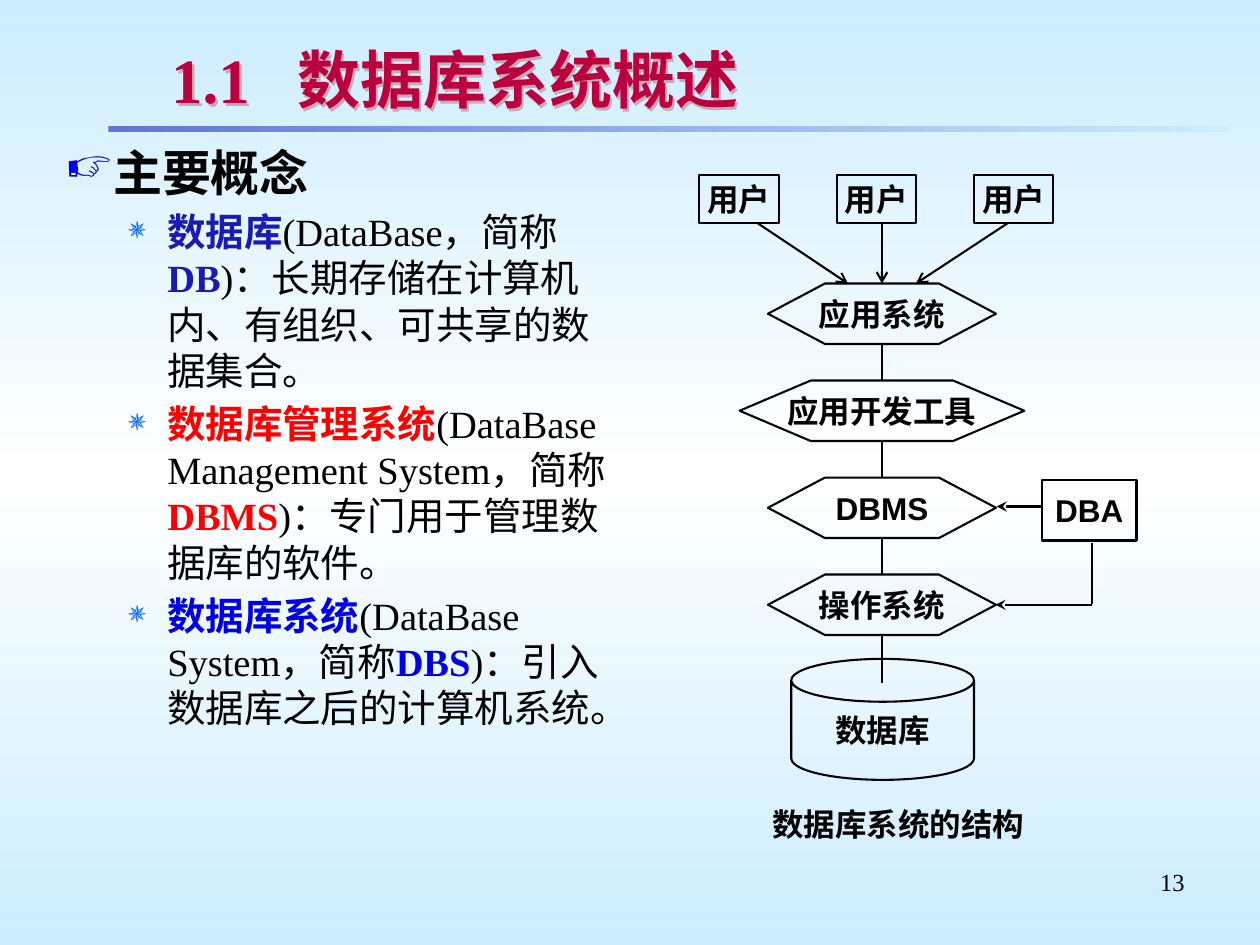
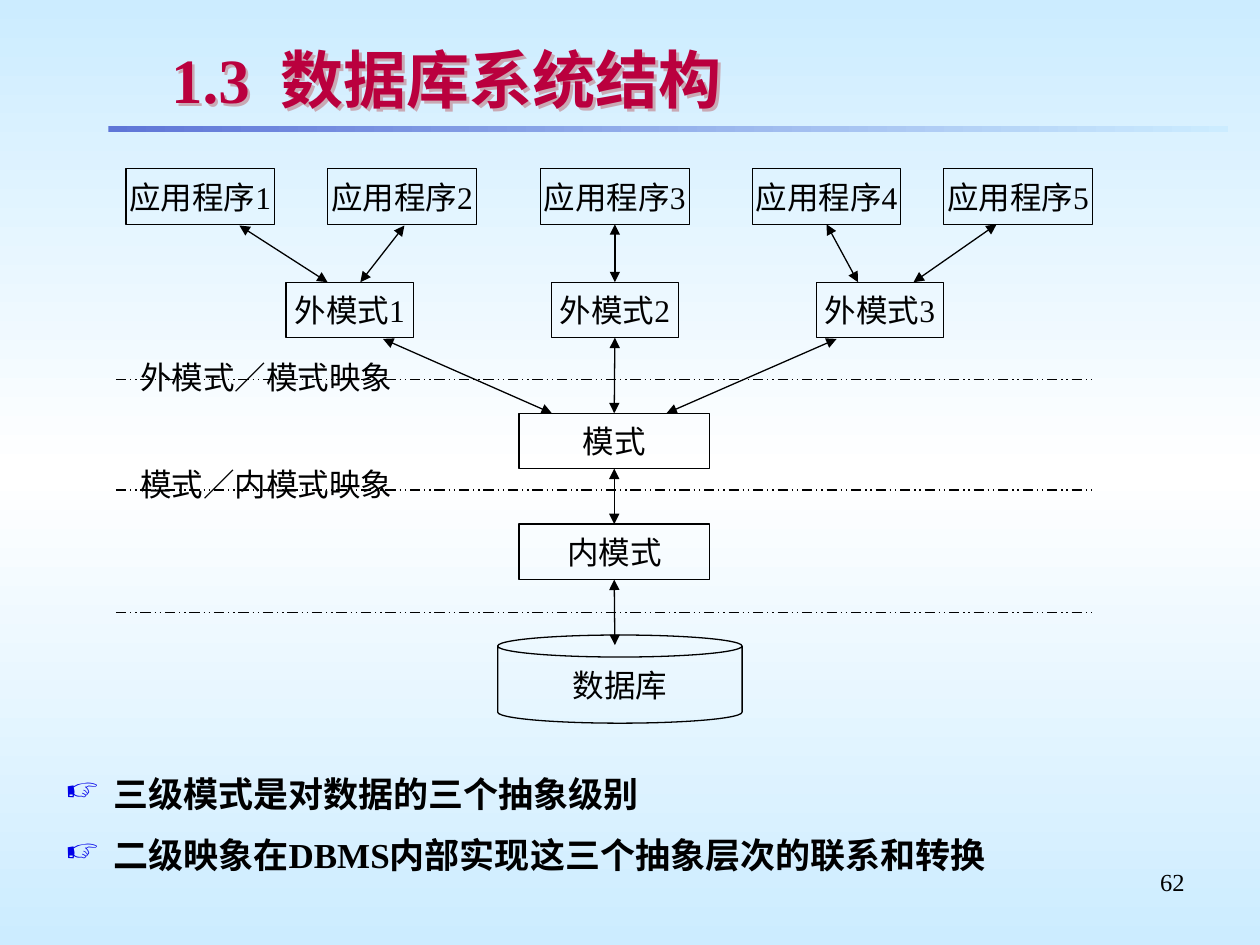
from lxml.etree import SubElement
from pptx import Presentation
from pptx.dml.color import RGBColor
from pptx.enum.dml import MSO_LINE
from pptx.enum.shapes import MSO_CONNECTOR, MSO_SHAPE
from pptx.enum.text import MSO_ANCHOR, PP_ALIGN
from pptx.oxml.ns import qn
from pptx.util import Inches, Pt

HUE = {"black": "000000", "title": "BA003E", "shade": "C9A9B4", "sky": "CCECFF",
       "white": "FFFFFF", "bar": "5F76D7", "hand": "0000E8", "star": "0066FF",
       "navy": "1B1BB3", "red": "FF0000", "blue": "0000E8"}
TIMES, ARIAL = "Times New Roman", "Arial"
RECT, HEX, CAN = MSO_SHAPE.RECTANGLE, MSO_SHAPE.HEXAGON, MSO_SHAPE.CAN
TOP, BOTTOM = 0, 2

# Slide 1: concepts and system structure
TERMS = [
    ("navy", "数据库", "(DataBase，简称", "DB", ")：长期存储在计算机内、有组织、可共享的数据集合。"),
    ("red", "数据库管理系统", "(DataBase Management System，简称", "DBMS", ")：专门用于管理数据库的软件。"),
    ("blue", "数据库系统", "(DataBase System，简称", "DBS", ")：引入数据库之后的计算机系统。"),
]
LAYERS = [("应用系统", 1.81), ("应用开发工具", 2.26), ("DBMS", 1.81), ("操作系统", 1.81)]
CALLS = [((6.01, 1.77), (6.73, 2.25)), ((7, 1.77), (7, 2.25)), ((8, 1.77), (7.27, 2.25))]
BOLD = {"name": ARIAL, "bold": True, "weight": 1.19}

# Slide 2: three schema levels
APPS = [1, 2.6, 4.29, 5.97, 7.49]
LEVELS = [("模式", 3.28), ("内模式", 4.16)]
MAPS = [("外模式／模式映象", 2.75), ("模式／内模式映象", 3.6)]
CUTS = [3.01, 3.89, 4.86]
SLANTS = [
    ((1.9, 1.79), (2.6, 2.24)), ((3.21, 1.79), (2.86, 2.24)),
    ((6.56, 1.78), (6.81, 2.24)), ((7.91, 1.78), (7.25, 2.24)),
    ((3.04, 2.69), (4.38, 3.28)), ((5.29, 3.28), (6.64, 2.69)),
]
POINTS = ["三级模式是对数据的三个抽象级别", "二级映象在DBMS内部实现这三个抽象层次的联系和转换"]
PLAIN = {"name": TIMES, "bold": False, "weight": 0.75}


def rgb(hue):
    return RGBColor.from_string(HUE[hue])


def style(font, size, name, bold=False, hue="black"):
    font.size, font.name, font.bold = Pt(size), name, bold
    font.color.rgb = rgb(hue)


def blend(fill, hues, angle):
    """Fill with a gradient of two hues."""
    fill.gradient()
    fill.gradient_angle = angle
    for stop, hue in zip(fill.gradient_stops, hues):
        stop.color.rgb = rgb(hue)


def field(slide, x, y, w, h, wrap=True):
    shape = slide.shapes.add_textbox(Inches(x), Inches(y), Inches(w), Inches(h))
    shape.text_frame.word_wrap = wrap
    return shape


def write(frame, text, size, name, bold=False, hue="black", align=PP_ALIGN.LEFT):
    para = frame.paragraphs[0]
    para.text = text
    para.alignment = align
    style(para.font, size, name, bold, hue)


def bullet(para, char, hue, pct, left, hang):
    props = para._p.get_or_add_pPr()
    props.set("marL", str(Inches(left)))
    props.set("indent", str(-Inches(hang)))
    color = SubElement(props, qn("a:buClr"))
    SubElement(color, qn("a:srgbClr"), val=HUE[hue])
    SubElement(props, qn("a:buSzPct"), val=str(pct * 1000))
    SubElement(props, qn("a:buChar"), char=char)


def hand(para):
    bullet(para, "☞", "hand", 95, 0.38, 0.38)


def box(slide, kind, x, y, w, h, text, look):
    shape = slide.shapes.add_shape(kind, Inches(x), Inches(y), Inches(w), Inches(h))
    shape.shadow.inherit = False
    shape.fill.background()
    shape.line.color.rgb = rgb("black")
    shape.line.width = Pt(look["weight"])
    frame = shape.text_frame
    frame.word_wrap = False
    frame.vertical_anchor = MSO_ANCHOR.MIDDLE
    write(frame, text, 18, look["name"], look["bold"], align=PP_ALIGN.CENTER)
    return shape


def wire(slide, start, end, look, head=None, tail=None):
    """Draw a line; each end is a point or a (shape, side) pair."""
    line = slide.shapes.add_connector(MSO_CONNECTOR.STRAIGHT, 0, 0, 0, 0)
    if isinstance(start[0], (int, float)):
        line.begin_x, line.begin_y = map(Inches, start)
    else:
        line.begin_connect(*start)
    if isinstance(end[0], (int, float)):
        line.end_x, line.end_y = map(Inches, end)
    else:
        line.end_connect(*end)
    line.line.color.rgb = rgb("black")
    line.line.width = Pt(look["weight"])
    props = line._element.spPr
    for tag, kind in (("a:headEnd", head), ("a:tailEnd", tail)):
        if kind:
            SubElement(props.find(qn("a:ln")), qn(tag), type=kind)
    SubElement(props, qn("a:effectLst"))
    return line


def begin(deck, number, title, stop, page):
    """Add a slide with backdrop, bar, title and page number."""
    slide = deck.slides.add_slide(deck.slide_layouts[6])
    blend(slide.background.fill, ("sky", "sky"), 90)
    stops = slide.element.xpath(".//p:bg//a:gsLst")[0]
    middle = SubElement(stops, qn("a:gs"), pos="50000")
    SubElement(middle, qn("a:srgbClr"), val=HUE["white"])
    stops.insert(1, middle)

    bar = slide.shapes.add_shape(RECT, Inches(0.86), Inches(1), Inches(8.89), Inches(0.05))
    bar.shadow.inherit = False
    bar.line.fill.background()
    blend(bar.fill, ("bar", "sky"), 0)

    head = field(slide, 1.26, 0.29, 8.24, 0.67)
    head.text_frame.vertical_anchor = MSO_ANCHOR.MIDDLE
    props = head.text_frame.paragraphs[0]._p.get_or_add_pPr()
    tabs = SubElement(props, qn("a:tabLst"))
    SubElement(tabs, qn("a:tab"), pos=str(Inches(stop)), algn="l")
    write(head.text_frame, f"{number}\t{title}", 36, TIMES, True, "title")
    effects = SubElement(head._element.spPr, qn("a:effectLst"))
    shade = SubElement(effects, qn("a:outerShdw"), dist=str(Inches(0.03)), dir="2700000")
    SubElement(shade, qn("a:srgbClr"), val=HUE["shade"])

    foot = field(slide, 7.17, 6.83, 2.33, 0.52)
    write(foot.text_frame, page, 14, TIMES, align=PP_ALIGN.RIGHT)
    return slide


def concepts(deck):
    slide = begin(deck, "1.1", "数据库系统概述", 1, "13")
    frame = field(slide, 0.42, 1.08, 4.54, 6).text_frame
    hand(frame.paragraphs[0])
    write(frame, "主要概念", 28, TIMES, True)
    for hue, *parts in TERMS:
        para = frame.add_paragraph()
        bullet(para, "✵", "star", 80, 0.81, 0.31)
        para.space_before = Pt(4.1)
        para.font.size, para.font.name = Pt(22), TIMES
        for i, part in enumerate(parts):
            run = para.add_run()
            run.text = part
            run.font.bold = i % 2 == 0
            run.font.color.rgb = rgb("black" if i % 2 else hue)

    for i in range(3):
        box(slide, RECT, 5.55 + 1.09 * i, 1.39, 0.63, 0.38, "用户", BOLD)
    for start, end in CALLS:
        wire(slide, start, end, BOLD, tail="arrow")

    high, step, axis = 0.48, 0.77, 7
    for i, (text, wide) in enumerate(LAYERS):
        y = 2.25 + step * i
        layer = box(slide, HEX, axis - wide / 2, y, wide, high, text, BOLD)
        layer.adjustments[0] = wide / 4 / high
        layer.adjustments[1] = 1.155
        last = i == len(LAYERS) - 1
        wire(slide, (axis, y + high), (axis, 5.42 if last else y + step), BOLD)
    store = box(slide, CAN, 6.28, 5.23, 1.45, 0.96, "数据库", BOLD)
    store.adjustments[0] = 0.354

    box(slide, RECT, 8.27, 3.81, 0.75, high, "DBA", BOLD)
    wire(slide, (8.27, 4.02), (7.91, 4.02), BOLD, tail="stealth")
    wire(slide, (8.67, 4.31), (8.67, 4.79), BOLD)
    wire(slide, (8.67, 4.8), (7.9, 4.8), BOLD, tail="stealth")
    note = field(slide, 6.03, 6.34, 2.2, 0.4, wrap=False)
    write(note.text_frame, "数据库系统的结构", 18, ARIAL, True)


def schemas(deck):
    slide = begin(deck, "1.3", "数据库系统结构", 0.87, "62")
    frame = field(slide, 0.42, 6.08, 9.17, 1).text_frame
    for i, text in enumerate(POINTS):
        para = frame.add_paragraph() if i else frame.paragraphs[0]
        hand(para)
        para.text = text
        para.alignment = PP_ALIGN.JUSTIFY
        if i:
            para.space_before, para.line_spacing = Pt(3.7), 1.3
        style(para.font, 20, TIMES, True)

    high = 0.44
    apps = [box(slide, RECT, x, 1.34, 1.18, high, f"应用程序{i}", PLAIN)
            for i, x in enumerate(APPS, 1)]
    views = [box(slide, RECT, 2.27 + 2.105 * i, 2.24, 1.01, high, f"外模式{i + 1}", PLAIN)
             for i in range(3)]
    levels = [box(slide, RECT, 4.12, y, 1.51, high, text, PLAIN) for text, y in LEVELS]
    box(slide, CAN, 3.95, 5.04, 1.94, 0.7, "数据库", PLAIN)

    for y in CUTS:
        cut = wire(slide, (0.92, y), (8.66, y), PLAIN)
        cut.line.dash_style = MSO_LINE.DASH_DOT_DOT
    for text, y in MAPS:
        label = field(slide, 0.93, y, 2.37, 0.48, wrap=False).text_frame
        label.vertical_anchor = MSO_ANCHOR.MIDDLE
        write(label, text, 18, TIMES, align=PP_ALIGN.CENTER)

    spine = [apps[2], views[1], *levels]
    links = [((a, BOTTOM), (b, TOP)) for a, b in zip(spine, spine[1:])]
    links.append(((levels[-1], BOTTOM), (4.88, 5.12)))
    for start, end in SLANTS + links:
        wire(slide, start, end, PLAIN, "triangle", "triangle")


def main():
    deck = Presentation()
    deck.slide_width, deck.slide_height = Inches(10), Inches(7.5)
    concepts(deck)
    schemas(deck)
    deck.save("out.pptx")


if __name__ == "__main__":
    main()
